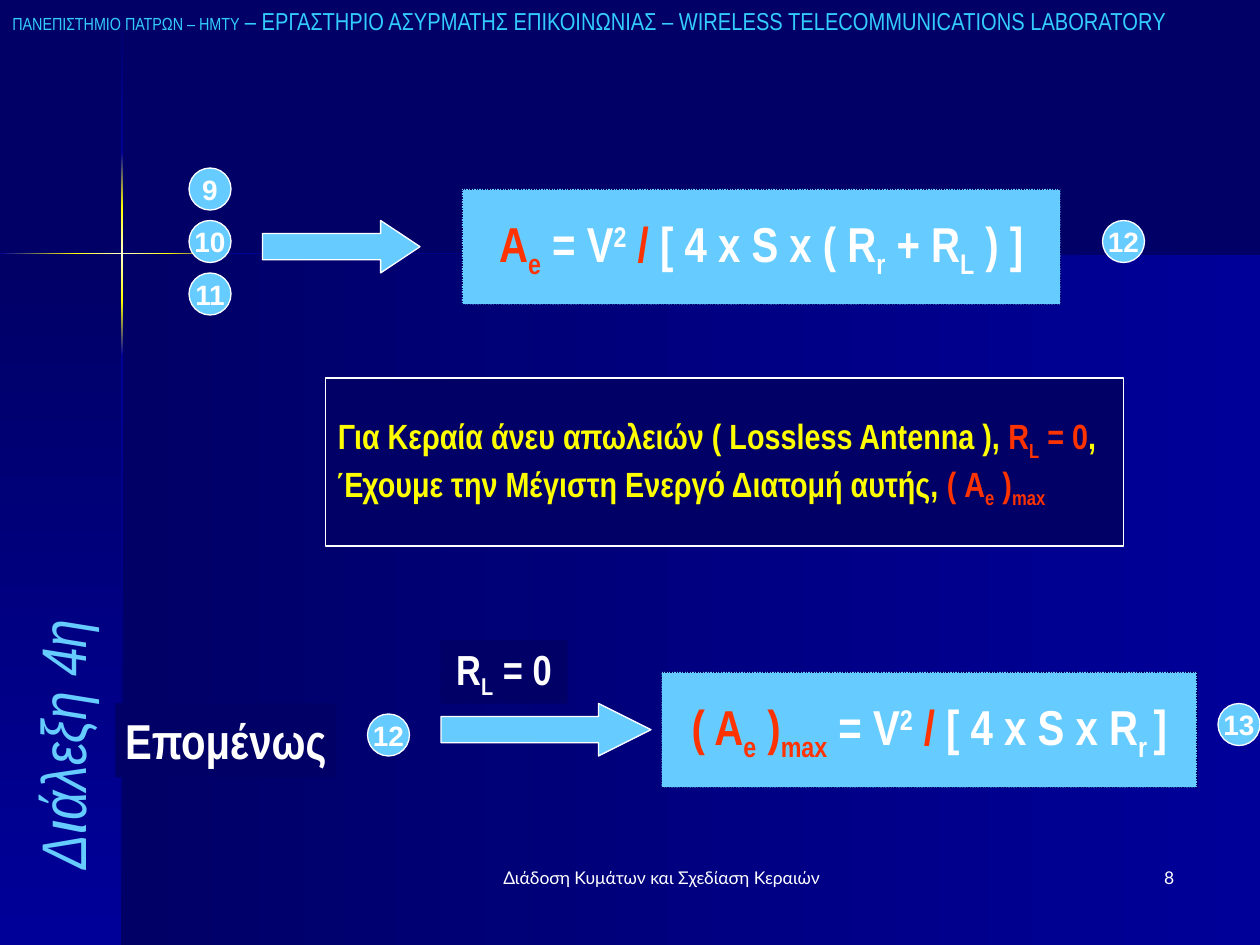
from pptx import Presentation
from pptx.dml.color import RGBColor
from pptx.enum.dml import MSO_LINE
from pptx.enum.shapes import MSO_SHAPE as Kind
from pptx.enum.text import MSO_ANCHOR as Anchor, PP_ALIGN as Align
from pptx.oxml import parse_xml
from pptx.oxml.ns import nsdecls
from pptx.util import Inches, Pt

NAVY, BLUE, SKY, WHITE = "000066", "000099", "66CCFF", "FFFFFF"
RED, YELLOW, CREAM, CYAN = "FF3300", "FFFF00", "FFFFCC", "33CCFF"
UNIT = Inches(1) / 12  # the slide is 120 columns by 90 rows
SUB, SUP = -25, 30
rgb = RGBColor.from_string

prs = Presentation()
prs.slide_width, prs.slide_height = Inches(10), Inches(7.5)
slide = prs.slides.add_slide(prs.slide_layouts[6])
slide.background.fill.solid()
slide.background.fill.fore_color.rgb = rgb(NAVY)


def draw(kind, spot, fill=None, line=None, dash=None):
    """Add a shape, or a text box when kind is None; spot is in grid units."""
    box = [round(n * UNIT) for n in spot]
    if kind is None:
        return slide.shapes.add_textbox(*box)
    shape = slide.shapes.add_shape(kind, *box)
    shape.shadow.inherit = False
    if fill:
        shape.fill.solid()
        shape.fill.fore_color.rgb = rgb(fill)
    if line:
        shape.line.color.rgb = rgb(line)
        shape.line.width = Pt(0.75)
        shape.line.dash_style = dash
    else:
        shape.line.fill.background()
    return shape


def write(shape, rows, size, font="Arial Narrow", bold=True, align=Align.CENTER,
          anchor=Anchor.MIDDLE, wrap=False):
    """Fill a shape with rows of (text, colour, baseline shift) runs."""
    frame = shape.text_frame
    frame.word_wrap, frame.vertical_anchor = wrap, anchor
    for i, row in enumerate(rows):
        para = frame.add_paragraph() if i else frame.paragraphs[0]
        para.alignment = align
        para.font.size, para.font.name, para.font.bold = Pt(size), font, bold
        for text, color, shift in row:
            run = para.add_run()
            run.text = text
            run.font.color.rgb = rgb(color)
            if shift:
                run.font._element.set("baseline", str(shift * 1000))
    return frame


# Backdrop: two panels and a glowing cross, as (left, top, right, bottom) inches
X, Y = (0.96, 0.98), (2.01, 2.02)
RIGHT, DOWN = 180, 90
LAP = 0.01  # the bars overlap a little, so that no seam shows
panels = [
    (0.97, 2.02, 10, 7.5, RIGHT, (BLUE, NAVY)),
    (0, 2.02, 0.97, 7.5, DOWN, (NAVY, BLUE)),
]
for top, end, stops in [(0.01, 1.21, (NAVY, BLUE)), (1.21, 1.65, (BLUE, YELLOW)),
                        (2.38, 2.82, (YELLOW, BLUE)), (2.82, 7.5, (BLUE, NAVY)),
                        (1.65, 2.38, (YELLOW, CREAM, YELLOW))]:
    panels.append((X[0], top, X[1], end, DOWN, stops))
for left, end, stops in [(0, 0.6, (YELLOW, BLUE)), (1.77, 10 - LAP, (NAVY, BLUE)),
                         (1.33, 1.77, (BLUE, YELLOW)),
                         (0.6 - LAP, 1.33, (YELLOW, CREAM, YELLOW))]:
    panels.append((left, Y[0], end + LAP, Y[1], RIGHT, stops))

for left, top, right, end, angle, stops in panels:
    spot = [12 * n for n in (left, top, right - left, end - top)]
    panel = draw(Kind.RECTANGLE, spot)
    marks = "".join(
        f'<a:gs pos="{i * 100000 // (len(stops) - 1)}"><a:srgbClr val="{c}"/></a:gs>'
        for i, c in enumerate(stops))
    panel.fill.background()
    none = panel._element.spPr.find("{*}noFill")
    none.getparent().replace(none, parse_xml(
        f'<a:gradFill {nsdecls("a")} rotWithShape="1"><a:gsLst>{marks}</a:gsLst>'
        f'<a:lin ang="{angle * 60000}" scaled="1"/></a:gradFill>'))

# Numbered equation badges, with digits small enough to stay inside
for num, left, top in [(9, 18, 16), (10, 18, 21), (11, 18, 26),
                       (12, 105, 21), (12, 35, 68), (13, 116, 67)]:
    badge = draw(Kind.OVAL, (left, top, 4, 4), SKY, WHITE)
    frame = write(badge, [[(str(num), WHITE, 0)]], 16, "Arial")
    frame.margin_left = frame.margin_right = 0
    frame.margin_top = frame.margin_bottom = 0

# Arrows
for spot, tip in [((25, 21, 15, 5), 0.75), ((42, 67, 20, 5), 1)]:
    arrow = draw(Kind.RIGHT_ARROW, spot, SKY, WHITE)
    arrow.adjustments[0], arrow.adjustments[1] = 0.5, tip

# Formulas and labels with dotted borders
labels = [
    ((44, 18, 57, 11), SKY, 28, [
        ("Α", RED, 0), ("e", RED, SUB), (" = V", WHITE, 0), ("2", WHITE, SUP),
        (" /", RED, 0), (" [ 4 x S x ( R", WHITE, 0), ("r", WHITE, SUB),
        (" + R", WHITE, 0), ("L", WHITE, SUB), (" ) ]", WHITE, 0)]),
    ((11, 67, 21, 7), NAVY, 28, [("Επομένως", WHITE, 0)]),
    ((42, 61, 12, 6), NAVY, 24, [
        ("R", WHITE, 0), ("L", WHITE, SUB), (" = 0", WHITE, 0)]),
    ((63, 64, 51, 11), SKY, 28, [
        ("( Α", RED, 0), ("e", RED, SUB), (" )", RED, 0), ("max", RED, SUB),
        (" = V", WHITE, 0), ("2", WHITE, SUP), (" /", RED, 0),
        (" [ 4 x S x R", WHITE, 0), ("r ", WHITE, SUB), ("]", WHITE, 0)]),
]
for spot, fill, size, runs in labels:
    write(draw(Kind.RECTANGLE, spot, fill, NAVY, MSO_LINE.ROUND_DOT), [runs], size)

# Explanation
note = draw(Kind.RECTANGLE, (31, 36, 76, 16), NAVY, WHITE)
write(note, [
    [("Για Κεραία άνευ απωλειών ( Lossless Antenna ), ", YELLOW, 0),
     ("R", RED, 0), ("L", RED, SUB), (" = 0", RED, 0), (",", YELLOW, 0)],
    [("Έχουμε την Μέγιστη Ενεργό Διατομή αυτής, ", YELLOW, 0),
     ("( A", RED, 0), ("e", RED, SUB), (" )", RED, 0), ("max", RED, SUB)],
], 20, align=Align.LEFT)

# Header, side title and footer
head = write(draw(None, (0, 0, 134, 4)), [[
    ("ΠΑΝΕΠΙΣΤΗΜΙΟ ΠΑΤΡΩΝ – ΗΜΤΥ", CYAN, 0),
    (" – ΕΡΓΑΣΤΗΡΙΟ ΑΣΥΡΜΑΤΗΣ ΕΠΙΚΟΙΝΩΝΙΑΣ – WIRELESS TELECOMMUNICATIONS LABORATORY",
     CYAN, 0)]], 14, bold=False, align=Align.LEFT, anchor=Anchor.TOP, wrap=True)
head.paragraphs[0].space_before = Pt(3.5)
head.paragraphs[0].runs[0].font.size = Pt(10)

side = draw(None, (-17, 57, 46, 8))
side.rotation = 270
title = write(side, [[("Διάλεξη 4η", SKY, 0)]], 36, bold=False,
              align=Align.LEFT, anchor=Anchor.BOTTOM, wrap=True)
title.paragraphs[0].font.italic = True

for text, left, wide, align in [
        ("Διάδοση Κυμάτων και Σχεδίαση Κεραιών", 44, 38, Align.CENTER),
        ("8", 88, 25, Align.RIGHT)]:
    write(draw(None, (left, 82, wide, 6)), [[(text, WHITE, 0)]], 10, "Lato",
          False, align, Anchor.TOP, True)

prs.save("out.pptx")
